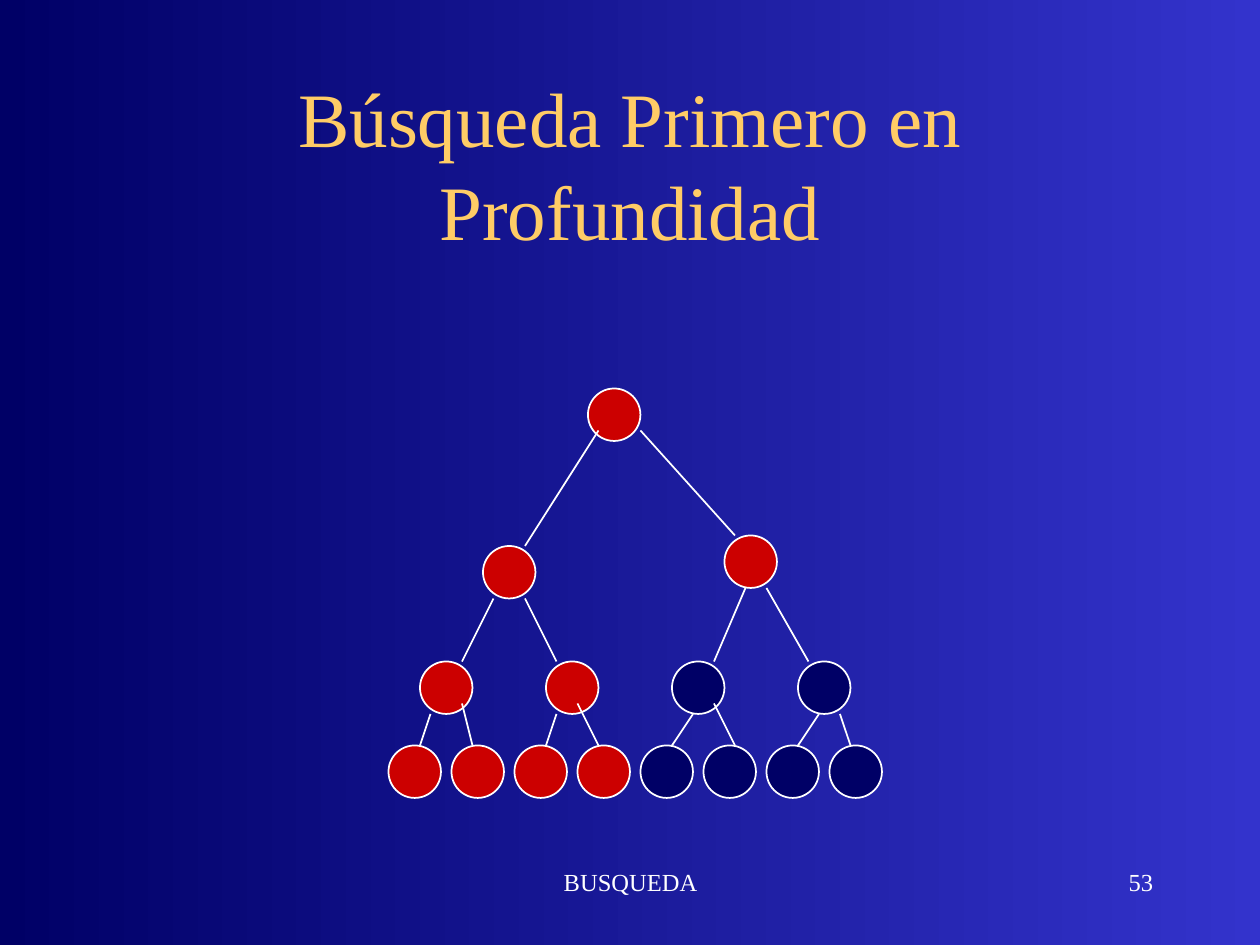
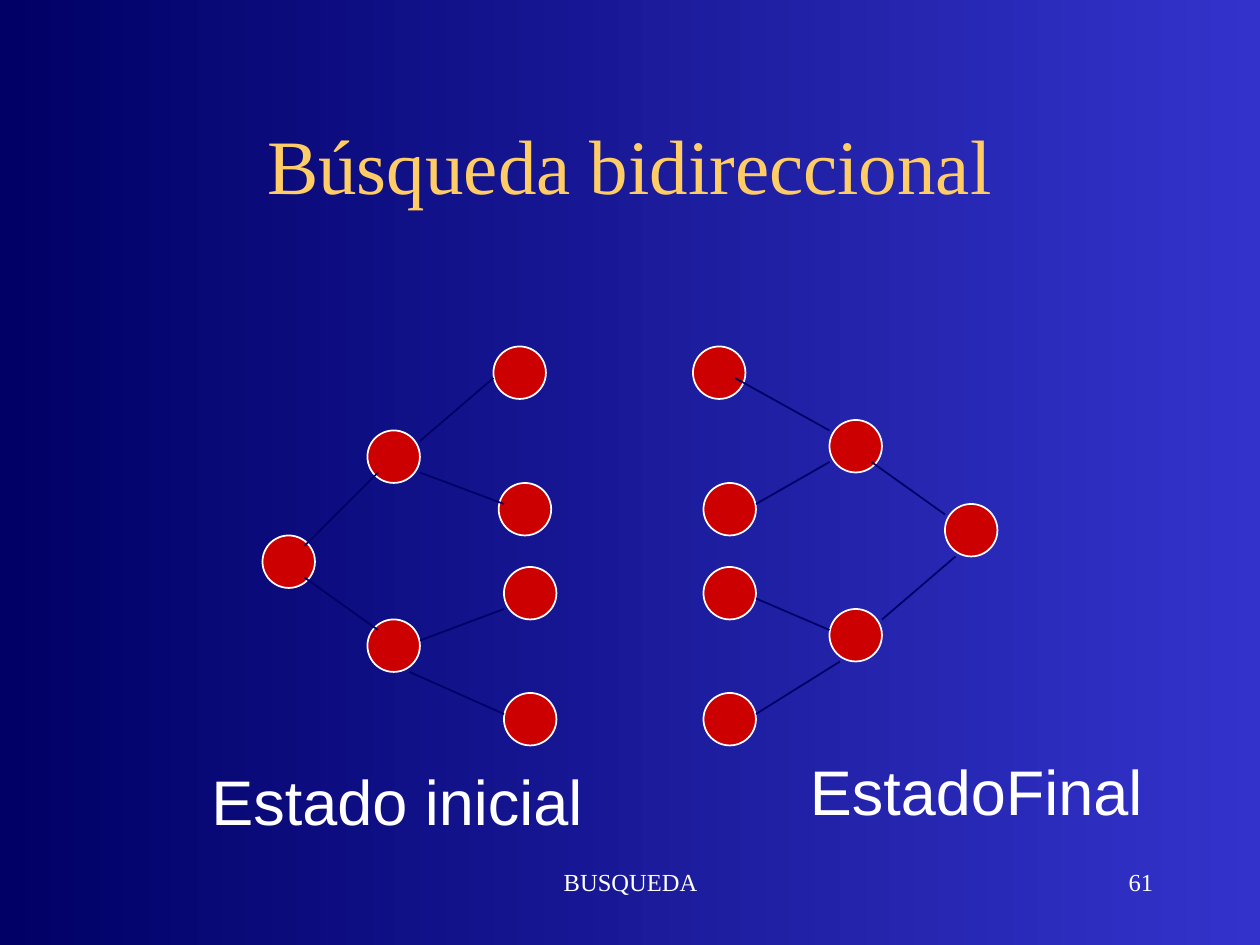
from pptx import Presentation
from pptx.dml.color import RGBColor
from pptx.enum import shapes, text
from pptx.oxml import parse_xml
from pptx.oxml.ns import nsdecls
from pptx.util import Inches, Pt

WHITE, GOLD, RED, NAVY, BLUE = "FFFFFF", "FFCC66", "CC0000", "000066", "3333CC"
SERIF, SANS = "Times New Roman", "Arial"
FOOTER = "BUSQUEDA"

# Diagram coordinates count twelfths of an inch; nodes give their top left corner.
GRID = 12
NODE_SIZE = 5

DEPTH_FIRST = {
    "title": "Búsqueda Primero en Profundidad",
    "number": "53",
    "visited": [(56, 37), (46, 52), (69, 51)]
    + [(40 + 12 * i, 63) for i in range(2)]
    + [(37 + 6 * i, 71) for i in range(4)],
    "pending": [(40 + 12 * i, 63) for i in range(2, 4)]
    + [(37 + 6 * i, 71) for i in range(4, 8)],
    "edge_color": WHITE,
    "edges": [
        (57, 41, 50, 52), (61, 41, 70, 51),
        (47, 57, 44, 63), (50, 57, 53, 63), (71, 56, 68, 63), (73, 56, 77, 63),
        (41, 68, 40, 71), (44, 67, 45, 71), (53, 68, 52, 71), (55, 67, 57, 71),
        (66, 68, 64, 71), (68, 67, 70, 71), (78, 68, 76, 71), (80, 68, 81, 71),
    ],
    "labels": [],
}

BIDIRECTIONAL = {
    "title": "Búsqueda bidireccional",
    "number": "61",
    "visited": [
        (25, 51), (35, 41), (35, 59), (47, 33), (47.5, 46), (48, 54), (48, 66),
        (90, 48), (79, 40), (79, 58), (66, 33), (67, 46), (67, 54), (67, 66),
    ],
    "pending": [],
    "edge_color": NAVY,
    "edges": [
        (29, 52, 36, 45), (29, 55, 36, 60), (40, 42, 47, 36),
        (40, 45, 48, 48), (40, 61, 48, 58), (39, 64, 48, 68),
        (70, 36, 79, 41), (72, 48, 79, 44), (72, 57, 79, 60),
        (72, 68, 80, 63), (83, 44, 90, 49), (84, 59, 91, 53),
    ],
    "labels": [("EstadoFinal", (6.33, 5.92, 2.84, 0.7)),
               ("Estado inicial", (1.58, 6, 3.33, 0.7))],
}


def rgb(color):
    return RGBColor.from_string(color)


def grid(*units):
    return [Inches(unit / GRID) for unit in units]


def add_text(slide, words, box, size=14, font=SERIF, color=WHITE, align="LEFT",
             anchor="TOP", wrap=True):
    frame = slide.shapes.add_textbox(*map(Inches, box)).text_frame
    frame.word_wrap = wrap
    frame.vertical_anchor = text.MSO_ANCHOR[anchor]
    paragraph = frame.paragraphs[0]
    paragraph.text = words
    paragraph.alignment = text.PP_ALIGN[align]
    paragraph.font.size = Pt(size)
    paragraph.font.name = font
    paragraph.font.color.rgb = rgb(color)


def add_node(slide, x, y, fill):
    node = slide.shapes.add_shape(shapes.MSO_SHAPE.OVAL,
                                  *grid(x, y, NODE_SIZE, NODE_SIZE))
    node.shadow.inherit = False
    node.fill.solid()
    node.fill.fore_color.rgb = rgb(fill)
    node.line.color.rgb = rgb(WHITE)
    node.line.width = Pt(1)


def add_edge(slide, ends, color):
    edge = slide.shapes.add_connector(shapes.MSO_CONNECTOR.STRAIGHT, *grid(*ends))
    edge.line.color.rgb = rgb(color)
    edge.line.width = Pt(1)
    edge._element.spPr.append(parse_xml(f"<a:effectLst {nsdecls('a')}/>"))


def add_base(prs, title, number):
    """Add a slide with the shared background, title and footer."""
    slide = prs.slides.add_slide(prs.slide_layouts[6])
    backdrop = slide.background.fill
    backdrop.gradient()
    backdrop.gradient_angle = 180
    for stop, color in zip(backdrop.gradient_stops, (BLUE, NAVY)):
        stop.color.rgb = rgb(color)
    add_text(slide, title, (0.75, 0.67, 8.5, 1.25), size=44, color=GOLD,
             align="CENTER", anchor="MIDDLE")
    add_text(slide, FOOTER, (3.42, 6.83, 3.17, 0.5), align="CENTER")
    add_text(slide, number, (7.17, 6.83, 2.08, 0.5), align="RIGHT")
    return slide


def add_search(prs, search):
    slide = add_base(prs, search["title"], search["number"])
    for state, fill in (("visited", RED), ("pending", NAVY)):
        for x, y in search[state]:
            add_node(slide, x, y, fill)
    for ends in search["edges"]:
        add_edge(slide, ends, search["edge_color"])
    for words, box in search["labels"]:
        add_text(slide, words, box, size=36, font=SANS, wrap=False)


def main():
    prs = Presentation()
    prs.slide_width, prs.slide_height = Inches(10), Inches(7.5)
    for search in (DEPTH_FIRST, BIDIRECTIONAL):
        add_search(prs, search)
    prs.save("out.pptx")


if __name__ == "__main__":
    main()
